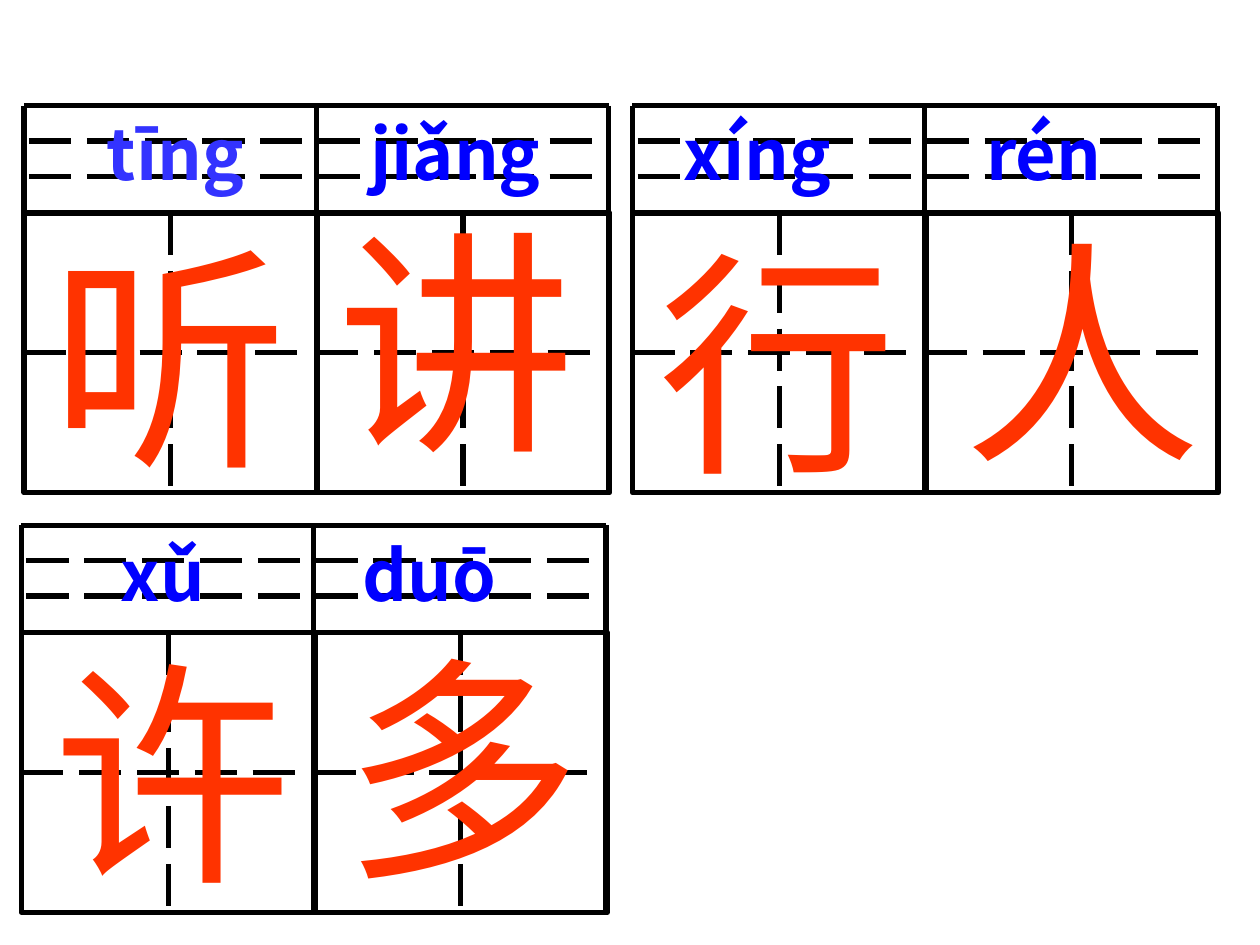
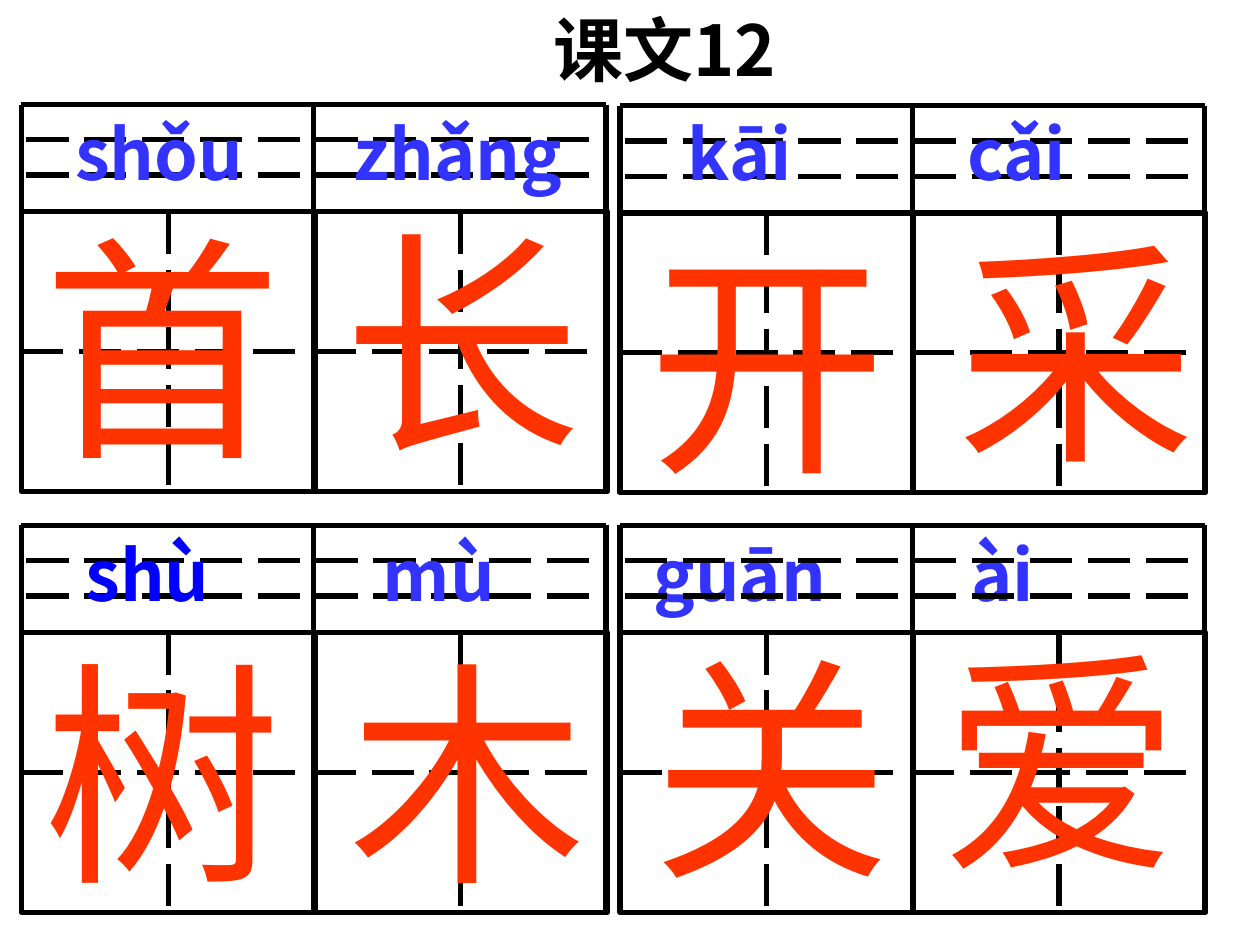
from dataclasses import dataclass

from lxml.etree import SubElement
from pptx import Presentation
from pptx.dml.color import RGBColor
from pptx.enum.dml import MSO_LINE
from pptx.enum.shapes import MSO_CONNECTOR, MSO_SHAPE
from pptx.enum.text import MSO_ANCHOR, MSO_AUTO_SIZE, PP_ALIGN
from pptx.oxml.ns import qn
from pptx.util import Inches, Pt


@dataclass(frozen=True)
class Theme:
    ink: RGBColor = RGBColor(0, 0, 0)
    hanzi: RGBColor = RGBColor(0xFF, 0x33, 0x00)
    blue: RGBColor = RGBColor(0x00, 0x00, 0xFF)
    soft_blue: RGBColor = RGBColor(0x33, 0x33, 0xFF)
    latin_font: str = "Arial"
    cjk_font: str = "Noto Sans CJK SC"
    hanzi_size: int = 136
    label_size: int = 40
    rule_width: int = 3


THEME = Theme()

# Writing grid, in inches
CELL_PITCH = 2.32
CELL_WIDTH = 2.33
CELL_HEIGHT = 2.22
HEADER_HEIGHT = 0.85
HEADER_RULE_GAP = 0.28
DASH_INSET = 0.04
HANZI_BOX = (2.28, 2.37)
LABEL_HEIGHT = 0.77
TEXT_INSET = 0.1


@dataclass(frozen=True)
class Hanzi:
    """A character and its shift from the corner of its cell."""
    character: str
    dx: float
    dy: float


@dataclass(frozen=True)
class Board:
    left: float
    top: float
    characters: tuple[Hanzi, Hanzi]


@dataclass(frozen=True)
class Syllable:
    pinyin: str
    left: float
    color: RGBColor = THEME.blue


@dataclass(frozen=True)
class PinyinRow:
    left: float
    top: float
    width: float
    syllables: tuple[Syllable, ...]


def add_rule(shapes, start: tuple, end: tuple, dashed: bool = False):
    points = (Inches(value) for value in (*start, *end))
    rule = shapes.add_connector(MSO_CONNECTOR.STRAIGHT, *points)
    rule.line.color.rgb = THEME.ink
    rule.line.width = Pt(THEME.rule_width)
    if dashed:
        rule.line.dash_style = MSO_LINE.LONG_DASH
    SubElement(rule._element.spPr, qn("a:effectLst"))
    return rule


def add_cell(shapes, left: float, top: float) -> None:
    cell = shapes.add_shape(MSO_SHAPE.RECTANGLE, Inches(left), Inches(top),
                            Inches(CELL_WIDTH), Inches(CELL_HEIGHT))
    cell.shadow.inherit = False
    cell.fill.background()
    cell.line.color.rgb = THEME.ink
    cell.line.width = Pt(THEME.rule_width)

    center, middle = left + CELL_WIDTH / 2, top + CELL_HEIGHT / 2
    upright = add_rule(shapes, (center, top), (center, top + CELL_HEIGHT), dashed=True)
    upright.begin_connect(cell, 0)
    upright.end_connect(cell, 2)
    across = add_rule(shapes, (left, middle),
                      (left + CELL_PITCH - DASH_INSET, middle), dashed=True)
    across.begin_connect(cell, 1)


def prepare_frame(frame) -> None:
    frame.word_wrap = True
    frame.auto_size = MSO_AUTO_SIZE.SHAPE_TO_FIT_TEXT
    frame.vertical_anchor = MSO_ANCHOR.TOP
    frame.margin_left = frame.margin_right = Inches(TEXT_INSET)
    frame.margin_top = frame.margin_bottom = Inches(TEXT_INSET / 2)


def add_text_frame(slide, left: float, top: float, width: float, height: float):
    frame = slide.shapes.add_textbox(Inches(left), Inches(top),
                                     Inches(width), Inches(height)).text_frame
    prepare_frame(frame)
    return frame


def add_run(paragraph, text: str, size: int, color: RGBColor,
            font: str = THEME.cjk_font, bold: bool = True) -> None:
    run = paragraph.add_run()
    run.text = text
    run.font.size = Pt(size)
    run.font.bold = bold
    run.font.color.rgb = color
    run.font.name = font
    SubElement(run.font._element, qn("a:ea"), typeface=THEME.cjk_font)


def draw_board(slide, board: Board) -> None:
    shapes = slide.shapes.add_group_shape().shapes
    cell_top = board.top + HEADER_HEIGHT
    right = board.left + 2 * CELL_PITCH
    columns = [board.left + i * CELL_PITCH for i in range(3)]

    for left in columns[:2]:
        add_cell(shapes, left, cell_top)
    add_rule(shapes, (board.left, board.top), (right, board.top))
    for step in (1, 2):
        y = board.top + step * HEADER_RULE_GAP
        add_rule(shapes, (board.left + DASH_INSET, y), (right, y), dashed=True)
    for x in columns:
        add_rule(shapes, (x, board.top), (x, cell_top + CELL_HEIGHT))

    for left, hanzi in zip(columns, board.characters):
        frame = add_text_frame(slide, left + hanzi.dx, cell_top + hanzi.dy, *HANZI_BOX)
        add_run(frame.paragraphs[0], hanzi.character, THEME.hanzi_size, THEME.hanzi,
                THEME.latin_font, bold=False)


def draw_pinyin(slide, row: PinyinRow) -> None:
    """Set each syllable at its own tab stop in one line of text."""
    frame = add_text_frame(slide, row.left, row.top, row.width, LABEL_HEIGHT)
    paragraph = frame.paragraphs[0]
    stops = SubElement(paragraph._p.get_or_add_pPr(), qn("a:tabLst"))
    for syllable in row.syllables:
        position = Inches(syllable.left - row.left - TEXT_INSET)
        SubElement(stops, qn("a:tab"), pos=str(position), algn="l")
        add_run(paragraph, "\t" + syllable.pinyin, THEME.label_size, syllable.color)


def draw_title(slide, text: str) -> None:
    title = slide.shapes.title
    title.left, title.top = Inches(4.29), Inches(0)
    title.width, title.height = Inches(2.52), Inches(LABEL_HEIGHT)
    prepare_frame(title.text_frame)
    paragraph = title.text_frame.paragraphs[0]
    paragraph.alignment = PP_ALIGN.LEFT
    add_run(paragraph, text, THEME.label_size, THEME.ink)


def draw_slide(deck, parts: tuple, title: str = "") -> None:
    layout = "Title Only" if title else "Blank"
    slide = deck.slides.add_slide(deck.slide_layouts.get_by_name(layout))
    if title:
        draw_title(slide, title)
    for part in parts:
        draw = draw_board if isinstance(part, Board) else draw_pinyin
        draw(slide, part)


SOFT = THEME.soft_blue

LISTEN_WALK_MANY = (
    Board(0.19, 0.84, (Hanzi("听", 0.11, -0.06), Hanzi("讲", 0.07, -0.19))),
    Board(5.02, 0.84, (Hanzi("行", 0.11, -0.02), Hanzi("人", 0.21, -0.11))),
    PinyinRow(0.12, 0.83, 9.96, (
        Syllable("tīng", 0.85, SOFT), Syllable("jiǎng", 2.94),
        Syllable("xíng", 5.43), Syllable("rén", 7.83))),
    Board(0.17, 4.17, (Hanzi("许", 0.16, -0.1), Hanzi("多", 0.14, -0.14))),
    PinyinRow(0, 4.17, 6.08, (Syllable("xǔ", 0.96), Syllable("duō", 2.88))),
)

LESSON_12 = (
    Board(0.17, 0.83, (Hanzi("首", 0.08, -0.13), Hanzi("长", 0.14, -0.18))),
    Board(4.92, 0.84, (Hanzi("开", 0.13, -0.02), Hanzi("采", 0.26, -0.11))),
    PinyinRow(0, 0.83, 9.96, (
        Syllable("shǒu", 0.6, SOFT), Syllable("zhǎng", 2.81, SOFT),
        Syllable("kāi", 5.46, SOFT), Syllable("cǎi", 7.68, SOFT))),
    Board(0.17, 4.17, (Hanzi("树", 0.08, -0.1), Hanzi("木", 0.18, -0.1))),
    PinyinRow(-0.17, 4.17, 9.58, (
        Syllable("shù", 0.68), Syllable("mù", 3.04, SOFT),
        Syllable("guān", 5.19, SOFT), Syllable("ài", 7.71, SOFT))),
    Board(4.92, 4.17, (Hanzi("关", 0.16, -0.14), Hanzi("爱", 0.14, -0.19))),
)


def main() -> None:
    deck = Presentation()
    deck.slide_width, deck.slide_height = Inches(10), Inches(7.5)
    draw_slide(deck, LISTEN_WALK_MANY)
    draw_slide(deck, LESSON_12, title="课文12")
    deck.save("out.pptx")


if __name__ == "__main__":
    main()
